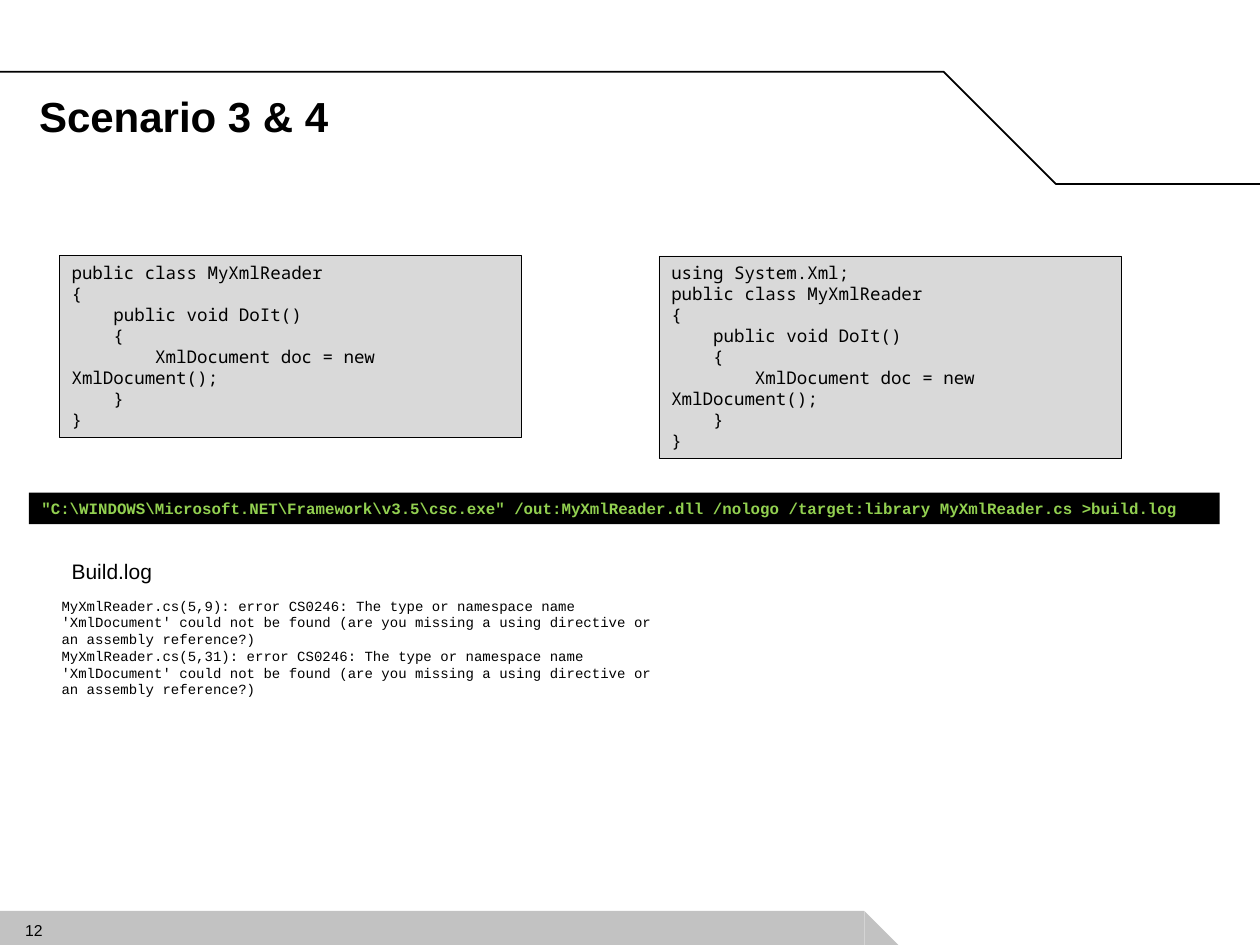
import dataclasses

import pptx
import pptx.dml.color
import pptx.enum.shapes
import pptx.enum.text
import pptx.util

SHAPE = pptx.enum.shapes.MSO_SHAPE
ANCHOR = pptx.enum.text.MSO_ANCHOR
ALIGN = pptx.enum.text.PP_ALIGN
AUTO_SIZE = pptx.enum.text.MSO_AUTO_SIZE

COLUMNS, ROWS = 100, 75


@dataclasses.dataclass(frozen=True)
class Theme:
    ink: str = "000000"
    paper: str = "FFFFFF"
    panel: str = "D9D9D9"
    footer: str = "C2C2C2"
    command: str = "92D050"
    sans: str = "Arial"
    code_font: str = "Noto Sans Mono"
    console_font: str = "Courier New"
    title_size: int = 24
    label_size: int = 12
    code_size: int = 10
    small_size: int = 9
    log_size: int = 8


def rgb(value):
    return pptx.dml.color.RGBColor.from_string(value)


def write(sp, text, *, font, size, color, bold=False, wrap=True,
          anchor=ANCHOR.TOP, margins=(0.1, 0.05)):
    tf = sp.text_frame
    tf.word_wrap = wrap
    tf.auto_size = AUTO_SIZE.NONE
    tf.vertical_anchor = anchor
    tf.margin_left = tf.margin_right = pptx.util.Inches(margins[0])
    tf.margin_top = tf.margin_bottom = pptx.util.Inches(margins[1])
    for i, line in enumerate(text.split("\n")):
        p = tf.add_paragraph() if i else tf.paragraphs[0]
        p.alignment = ALIGN.LEFT
        r = p.add_run()
        r.text = line
        r.font.name = font
        r.font.size = pptx.util.Pt(size)
        r.font.bold = bold
        r.font.color.rgb = rgb(color)


class Deck:
    def __init__(self, theme):
        self.theme = theme
        self.prs = pptx.Presentation()
        self.prs.slide_width = pptx.util.Inches(10)
        self.prs.slide_height = pptx.util.Inches(7.5)
        self.s = None

    def x(self, column):
        return round(self.prs.slide_width * column / COLUMNS)

    def y(self, row):
        return round(self.prs.slide_height * row / ROWS)

    def box(self, left, top, width, height):
        return self.x(left), self.y(top), self.x(width), self.y(height)

    def slide(self):
        self.s = self.prs.slides.add_slide(self.prs.slide_layouts[5])
        fill = self.s.background.fill
        fill.solid()
        fill.fore_color.rgb = rgb(self.theme.paper)

    def title(self, text, *at):
        sp = self.s.shapes.title
        sp.left, sp.top, sp.width, sp.height = self.box(*at)
        write(sp, text, font=self.theme.sans, size=self.theme.title_size,
              color=self.theme.ink, bold=True, anchor=ANCHOR.MIDDLE)

    def shape(self, kind, fill, *at, line=None):
        sp = self.s.shapes.add_shape(kind, *self.box(*at))
        sp.shadow.inherit = False
        sp.fill.solid()
        sp.fill.fore_color.rgb = rgb(fill)
        if line:
            sp.line.color.rgb = rgb(self.theme.ink)
            sp.line.width = pptx.util.Pt(line)
        else:
            sp.line.fill.background()
        return sp

    def text(self, text, *at, **style):
        sp = self.s.shapes.add_textbox(*self.box(*at))
        write(sp, text, color=self.theme.ink, **style)

    def rule(self, *points):
        start, *rest = [(self.x(c), self.y(r)) for c, r in points]
        fb = self.s.shapes.build_freeform(*start)
        fb.add_line_segments(rest, close=False)
        sp = fb.convert_to_shape()
        sp.shadow.inherit = False
        sp.fill.background()
        sp.line.color.rgb = rgb(self.theme.ink)
        sp.line.width = pptx.util.Pt(1)

    def code(self, text, *at):
        sp = self.shape(SHAPE.RECTANGLE, self.theme.panel, *at, line=0.25)
        write(sp, text, font=self.theme.code_font, size=self.theme.code_size,
              color=self.theme.ink)

    def command(self, text, *at):
        sp = self.shape(SHAPE.RECTANGLE, self.theme.ink, *at)
        write(sp, text, font=self.theme.console_font, size=self.theme.small_size,
              color=self.theme.command, bold=True)


READER_CLASS = """public class MyXmlReader
{
    public void DoIt()
    {
        XmlDocument doc = new XmlDocument();
    }
}"""
COMMAND = (r'"C:\WINDOWS\Microsoft.NET\Framework\v3.5\csc.exe" /out:MyXmlReader.dll '
           "/nologo /target:library MyXmlReader.cs >build.log")
BUILD_LOG = "\n".join(
    f"MyXmlReader.cs({position}): error CS0246: The type or namespace name "
    "'XmlDocument' could not be found (are you missing a using directive or "
    "an assembly reference?)"
    for position in ("5,9", "5,31"))


def main():
    theme = Theme()
    deck = Deck(theme)
    deck.slide()

    deck.rule((0, 5.7), (74.9, 5.7), (83.8, 14.6), (100.1, 14.6))
    deck.shape(SHAPE.RECTANGLE, theme.footer, 0, 72.3, 68.6, 2.7)
    deck.shape(SHAPE.RIGHT_TRIANGLE, theme.footer, 68.6, 72.3, 2.7, 2.7)
    deck.text("12", 2, 73.1, 3.1, 1.5, font=theme.sans, size=theme.small_size,
              margins=(0, 0))

    deck.title("Scenario 3 & 4", 2.1, 6.7, 73.4, 5)
    deck.code(READER_CLASS, 4.7, 20.3, 36.7, 14.4)
    deck.code("using System.Xml;\n" + READER_CLASS, 52.3, 20.3, 36.7, 16.1)
    deck.text(BUILD_LOG, 3.9, 46.9, 50, 9, font=theme.console_font,
              size=theme.log_size)
    deck.text("Build.log", 4.7, 43.8, 8.4, 3, font=theme.sans,
              size=theme.label_size, wrap=False)
    deck.command(COMMAND, 2.3, 39.1, 94.5, 2.5)

    deck.prs.save("out.pptx")


if __name__ == "__main__":
    main()
